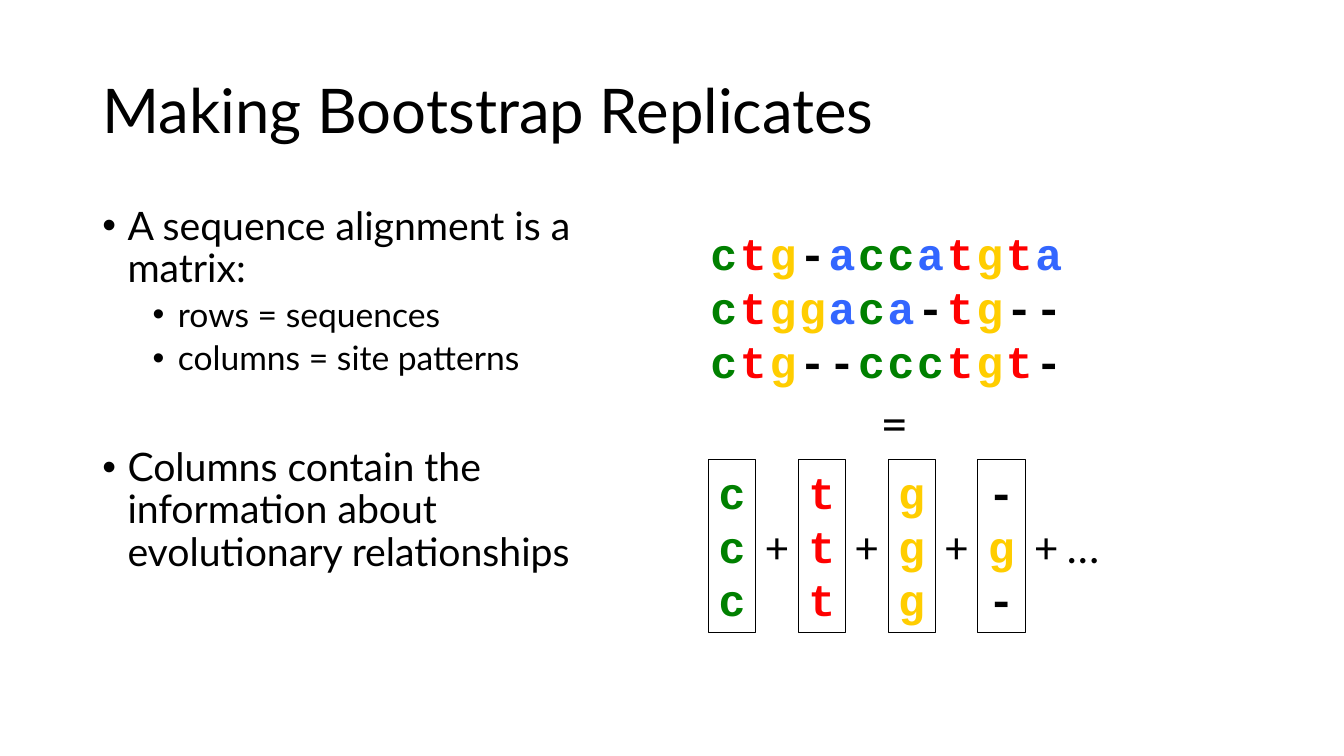
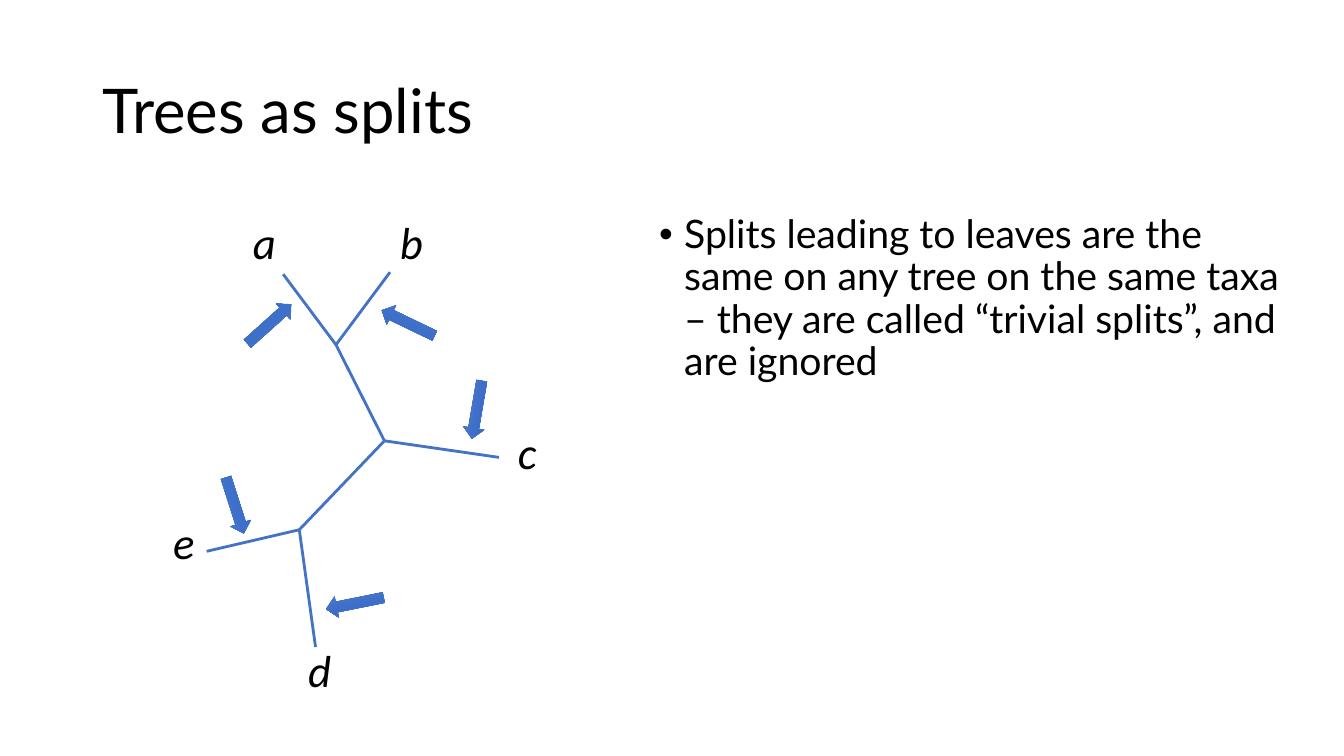
from copy import deepcopy

from lxml.etree import SubElement
from pptx import Presentation
from pptx.dml.color import RGBColor
from pptx.enum.shapes import MSO_CONNECTOR, MSO_SHAPE
from pptx.enum.text import MSO_ANCHOR, MSO_AUTO_SIZE, PP_ALIGN
from pptx.oxml.ns import qn
from pptx.util import Pt

BLACK = RGBColor(0, 0, 0)
BLUE = RGBColor(0x44, 0x72, 0xC4)
SHADES = (RGBColor(0x61, 0x83, 0xCB), RGBColor(0x3E, 0x70, 0xCA),
          RGBColor(0x30, 0x62, 0xBB))
BASES = {
    "a": RGBColor(0x33, 0x66, 0xFF),
    "c": RGBColor(0, 0x80, 0),
    "g": RGBColor(0xFF, 0xCD, 0),
    "t": RGBColor(0xFF, 0, 0),
    "-": BLACK,
}
MAIN, MONO, SIGN = "Lato", "Courier New", "Calibri"

ROWS = ("ctg-accatgta", "ctggaca-tg--", "ctg--ccctgt-")
COL_W, COL_H = 33.8, 123.8


def add_run(para, text, size, font, color=BLACK, bold=False, italic=False):
    run = para.add_run()
    run.text = text
    face = run.font
    face.size, face.name = Pt(size), font
    face.bold, face.italic = bold, italic
    face.color.rgb = color


def add_box(slide, x, y, w, h, wrap=True):
    box = slide.shapes.add_textbox(Pt(x), Pt(y), Pt(w), Pt(h))
    box.text_frame.word_wrap = wrap
    return box.text_frame


def add_label(slide, text, x, y, w, size=32, italic=False):
    frame = add_box(slide, x, y, w, size * 1.44, wrap=False)
    add_run(frame.paragraphs[0], text, size, SIGN, italic=italic)


def add_slide(deck, text):
    """Add a title-only slide with the shared title style."""
    slide = deck.slides.add_slide(deck.slide_layouts[5])
    title = slide.shapes.title
    title.left, title.top = Pt(66), Pt(28.8)
    title.width, title.height = Pt(828), Pt(104.4)
    frame = title.text_frame
    frame.auto_size = MSO_AUTO_SIZE.NONE
    frame.vertical_anchor = MSO_ANCHOR.MIDDLE
    para = frame.paragraphs[0]
    para.alignment = PP_ALIGN.LEFT
    para.line_spacing = 0.9
    add_run(para, text, 44, MAIN)
    return slide


def add_list(slide, x, y, w, h, items):
    """Add bullets; each item is (level, space before, text)."""
    frame = add_box(slide, x, y, w, h)
    for i, (level, gap, text) in enumerate(items):
        para = frame.add_paragraph() if i else frame.paragraphs[0]
        para.level = level
        para.line_spacing = 0.9
        para.space_before = Pt(gap)
        props = para._p.get_or_add_pPr()
        props.set("marL", str(Pt(18 + 36 * level)))
        props.set("indent", str(Pt(-18)))
        SubElement(props, qn("a:buFont")).set("typeface", "Arial")
        SubElement(props, qn("a:buChar")).set("char", "•")
        add_run(para, text, 28 - 4 * level, MAIN)


def fill_site(frame, site):
    """Write one alignment column, a base to a line."""
    for i, base in enumerate(site):
        para = frame.add_paragraph() if i else frame.paragraphs[0]
        para.alignment = PP_ALIGN.LEFT
        add_run(para, base, 32, MONO, BASES[base], bold=True)


def add_matrix(slide, x, y, sites):
    for i, site in enumerate(sites):
        fill_site(add_box(slide, x + 21.1 * i, y, COL_W, COL_H), site)


def add_sum(slide, x, y, sites):
    """Show framed columns joined by plus signs."""
    for i, site in enumerate(sites):
        left = x + 64.1 * i
        rect = slide.shapes.add_shape(
            MSO_SHAPE.RECTANGLE, Pt(left), Pt(y), Pt(COL_W), Pt(COL_H))
        rect.shadow.inherit = False
        rect.fill.background()
        rect.line.color.rgb = BLACK
        rect.line.width = Pt(0.75)
        rect.text_frame.vertical_anchor = MSO_ANCHOR.TOP
        fill_site(rect.text_frame, site)
        last = i == len(sites) - 1
        add_label(slide, "+ …" if last else "+", left + COL_W, y + 39,
                  62.6 if last else 31)


def add_branch(slide, start, end):
    line = slide.shapes.add_connector(
        MSO_CONNECTOR.STRAIGHT, *(Pt(v) for v in (*start, *end)))
    line.line.color.rgb = BLUE
    line.line.width = Pt(2)
    SubElement(line._element.spPr, qn("a:effectLst"))


def add_arrow(slide, x, y, turn):
    arrow = slide.shapes.add_shape(
        MSO_SHAPE.LEFT_ARROW, Pt(x), Pt(y), Pt(41.8), Pt(15.1))
    arrow.rotation = turn
    arrow.shadow.inherit = False
    arrow.line.color.rgb = BLUE
    arrow.line.width = Pt(0.5)
    fill = arrow.fill
    fill.gradient()
    fill.gradient_angle = 270
    stops = arrow._element.spPr.find(".//" + qn("a:gsLst"))
    stops.append(deepcopy(stops[0]))
    for i, (stop, shade) in enumerate(zip(fill.gradient_stops, SHADES)):
        stop.position = i / 2
        stop.color.rgb = shade


def add_tree(slide, x, y):
    """Draw the five-leaf tree, with an arrow at each leaf branch."""
    top, hub, low = (92.4, 51.9), (127, 120.5), (66.2, 184)
    leaves = (  # name, joint, tip, label corner and width, arrow and turn
        ("a", top, (54.7, 1.5), (25.9, -44.6, 31), (23.8, 29.5, 138.1)),
        ("b", top, (131, 0), (131, -44.6, 31), (123.1, 28.8, 25.7)),
        ("c", hub, (208.8, 132.3), (215.3, 105.1, 28.1), (172.1, 90.7, 279.7)),
        ("d", low, (77.8, 267.8), (65.5, 261.4, 31), (85, 229, 348.6)),
        ("e", low, (0, 199.4), (-31, 169.9, 30.2), (-0.7, 159.1, 252.3)),
    )

    def place(point):
        return x + point[0], y + point[1]

    for joint in (top, low):
        add_branch(slide, place(hub), place(joint))
    for name, joint, tip, label, arrow in leaves:
        add_branch(slide, place(joint), place(tip))
        add_label(slide, name, *place(label), label[2], italic=True)
        add_arrow(slide, *place(arrow), arrow[2])


def make_boot(deck):
    slide = add_slide(deck, "Making Bootstrap Replicates")
    add_list(slide, 66, 144, 408, 342.7, (
        (0, 10, "A sequence alignment is a matrix:"),
        (1, 5, "rows = sequences"),
        (1, 5, "columns = site patterns"),
        (0, 50, "Columns contain the information about "
                "evolutionary relationships"),
    ))
    sites = list(zip(*ROWS))
    add_matrix(slide, 500.4, 157.7, sites)
    add_label(slide, "=", 622.8, 275.8, 32.4, size=36)
    add_sum(slide, 506.2, 328.3, sites[:4])


def make_tree(deck):
    slide = add_slide(deck, "Trees as splits")
    add_list(slide, 463.7, 149.8, 463, 373, (
        (0, 10, "Splits leading to leaves are the same on any tree on the "
                "same taxa – they are called “trivial splits”, and are "
                "ignored"),
    ))
    add_tree(slide, 147.6, 194.4)


def main():
    deck = Presentation()
    deck.slide_width, deck.slide_height = Pt(960), Pt(540)
    make_boot(deck)
    make_tree(deck)
    deck.save("out.pptx")


if __name__ == "__main__":
    main()
